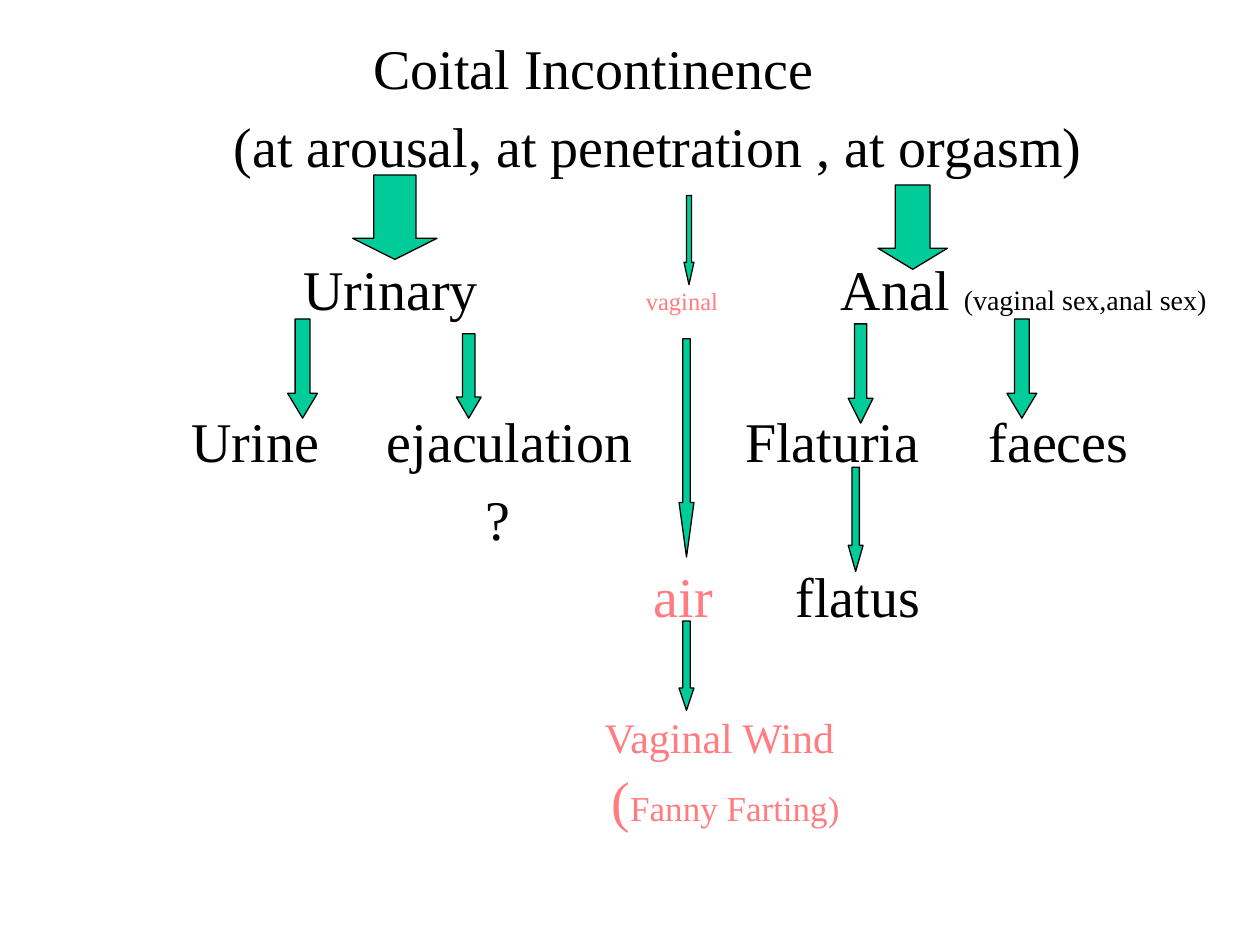
import pptx
import pptx.dml.color
import pptx.enum.shapes
import pptx.util
from dataclasses import dataclass
from lxml import etree

Cm, Pt = pptx.util.Cm, pptx.util.Pt
RGB = pptx.dml.color.RGBColor.from_string
A = "http://schemas.openxmlformats.org/drawingml/2006/main"


@dataclass(frozen=True)
class Theme:
    font: str = "Times New Roman"
    text: str = "000000"
    accent: str = "FF7C80"
    arrow: str = "00CC99"
    main: int = 32
    wind: int = 24
    detail: int = 20
    note: int = 16
    small: int = 14
    leading: float = 0.9


T = Theme()
GAP = 9.6     # usual space before a row, in points
SKIP = 42.7   # height of one row left open, in points

# Rows: space before, then runs of (tab stop in cm or None, text, size, colour)
ROWS = [
    (0, [(6.77, "Coital Incontinence", T.main, T.text)]),
    (GAP, [(3.95, "(at arousal, at penetration , at orgasm)", T.main, T.text)]),
    (SKIP + 4.8, [(5.36, "Urinary", T.main, T.text),
                  (12.26, "vaginal", T.small, T.accent),
                  (16.19, "Anal ", T.main, T.text),
                  (None, "(vaginal sex,anal sex)", T.note, T.text)]),
    (SKIP + GAP, [(3.1, "Urine", T.main, T.text),
                  (7.04, "ejaculation", T.main, T.text),
                  (14.26, "Flaturia", T.main, T.text),
                  (19.17, "faeces", T.main, T.text)]),
    (GAP, [(9.03, "?", T.main, T.text)]),
    (GAP, [(12.42, "air", T.main, T.accent),
           (15.28, "flatus", T.main, T.text)]),
    (SKIP + 7.2, [(11.43, "Vaginal Wind", T.wind, T.accent)]),
    (6, [(11.57, "(", T.main, T.accent),
         (None, "Fanny Farting)", T.detail, T.accent)]),
]

# Arrows: centre x, top, width, height in cm, from the diagram's corner
ARROWS = [
    (17.89, 3.02, 1.4, 1.7),   # to anal
    (7.45, 2.82, 1.7, 1.7),    # to urinary
    (5.59, 5.72, 0.6, 2.0),    # urinary to urine
    (8.94, 6.02, 0.5, 1.7),    # urinary to ejaculation
    (16.84, 5.82, 0.5, 2.0),   # anal to flaturia
    (20.09, 5.72, 0.6, 2.0),   # anal to faeces
    (16.74, 8.71, 0.3, 2.1),   # flaturia to flatus
    (13.33, 6.12, 0.3, 4.4),   # vaginal to air
    (13.33, 11.81, 0.3, 1.8),  # air to vaginal wind
    (13.38, 3.23, 0.2, 1.8),   # to vaginal
]


def set_tabs(p, stops):
    tabs = etree.SubElement(p._p.get_or_add_pPr(), f"{{{A}}}tabLst")
    for stop in stops:
        etree.SubElement(tabs, f"{{{A}}}tab", pos=str(int(Cm(stop))), algn="l")


def add_labels(s, left, top, width, height):
    tf = s.shapes.add_textbox(Cm(left), Cm(top), Cm(width), Cm(height)).text_frame
    tf.word_wrap = True
    for i, (before, runs) in enumerate(ROWS):
        p = tf.add_paragraph() if i else tf.paragraphs[0]
        set_tabs(p, [stop for stop, *_ in runs if stop is not None])
        p.line_spacing = T.leading
        p.space_before = Pt(before)
        for stop, text, size, color in runs:
            r = p.add_run()
            r.text = text if stop is None else "\t" + text
            r.font.name = T.font
            r.font.size = Pt(size)
            r.font.color.rgb = RGB(color)


def add_arrows(s, left, top):
    for cx, y, w, h in ARROWS:
        sp = s.shapes.add_shape(pptx.enum.shapes.MSO_SHAPE.DOWN_ARROW,
                                Cm(left + cx - w / 2), Cm(top + y), Cm(w), Cm(h))
        sp.adjustments[0] = 0.5
        sp.adjustments[1] = 0.25 * h / w  # head takes a quarter of the height
        sp.shadow.inherit = False
        sp.fill.solid()
        sp.fill.fore_color.rgb = RGB(T.arrow)
        sp.line.color.rgb = RGB(T.text)
        sp.line.width = Pt(0.75)


def add_diagram(s, left, top, width, height):
    add_labels(s, left, top, width, height)
    add_arrows(s, left, top)


def main():
    prs = pptx.Presentation()
    prs.slide_width, prs.slide_height = Cm(25.4), Cm(19.05)
    s = prs.slides.add_slide(prs.slide_layouts[6])
    add_diagram(s, 0.51, 0.71, 24.89, 16.79)
    prs.save("out.pptx")


if __name__ == "__main__":
    main()
